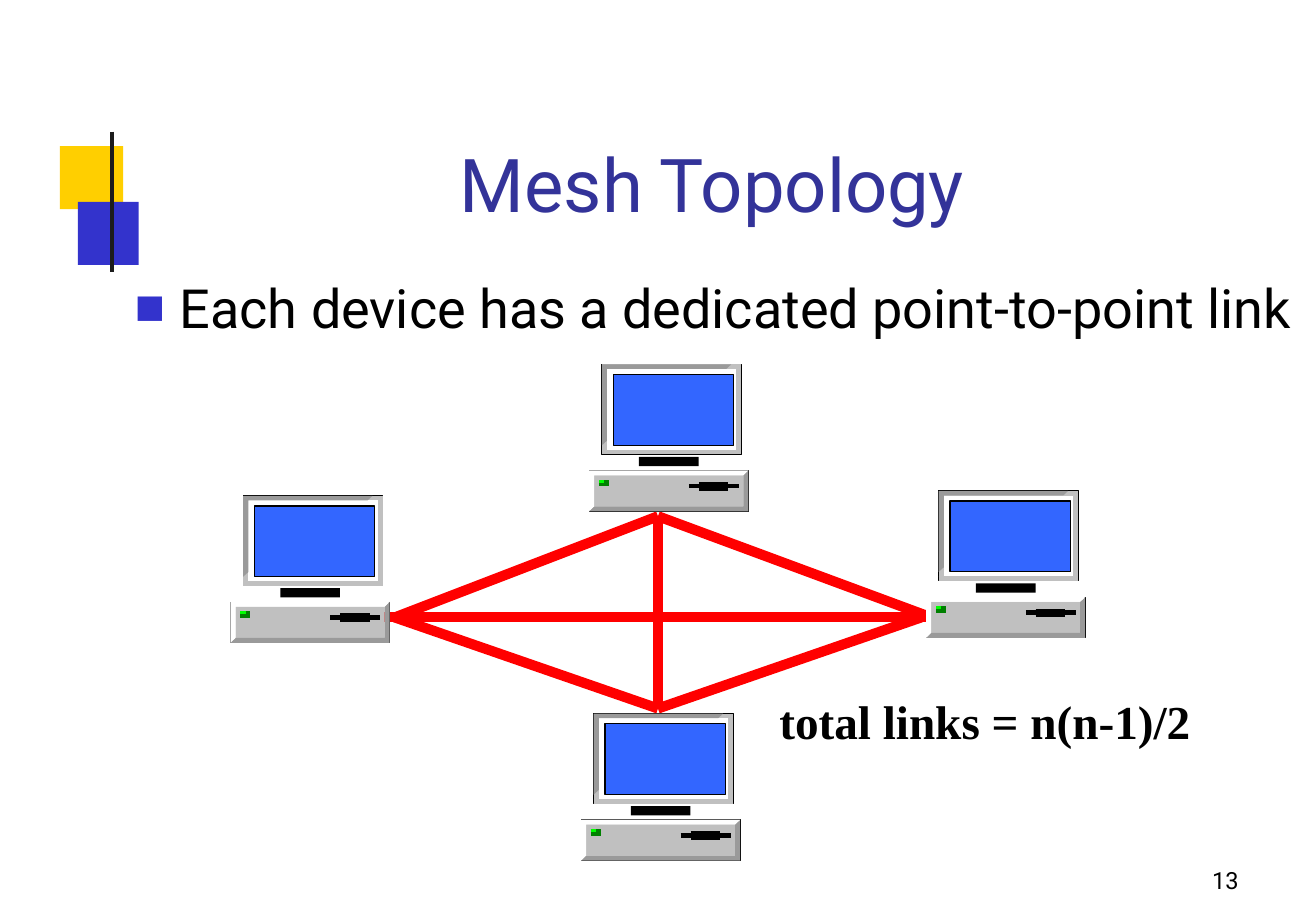
from dataclasses import dataclass
from lxml import etree
from pptx import Presentation
from pptx.dml.color import RGBColor
from pptx.enum.shapes import MSO_CONNECTOR, MSO_SHAPE
from pptx.enum.text import MSO_ANCHOR, MSO_AUTO_SIZE, PP_ALIGN
from pptx.oxml.ns import qn
from pptx.util import Pt

STRAIGHT = MSO_CONNECTOR.STRAIGHT
RECT = MSO_SHAPE.RECTANGLE
TOP = MSO_ANCHOR.TOP
NO_FIT = MSO_AUTO_SIZE.NONE
LEFT, CENTER = PP_ALIGN.LEFT, PP_ALIGN.CENTER


@dataclass(frozen=True)
class Theme:
    sans: str = "Roboto"
    serif: str = "Times New Roman"
    title_size: int = 44
    body_size: int = 32
    formula_size: int = 28
    number_size: int = 14
    title: str = "333399"
    accent: str = "3333CC"
    yellow: str = "FFCF00"
    rule: str = "1C1C1C"
    link: str = "FF0000"
    black: str = "000000"
    white: str = "FFFFFF"
    silver: str = "C0C0C0"
    shade: str = "9A9A9A"
    screen: str = "3366FF"
    led: str = "008000"
    glow: str = "00FF00"


class SlideBuilder:
    def __init__(self, slide, theme):
        self.s = slide
        self.t = theme
        self.x = self.y = 0

    def paint(self, sp, fill=None, line=None, width=1):
        sp.shadow.inherit = False
        if fill:
            sp.fill.solid()
            sp.fill.fore_color.rgb = RGBColor.from_string(fill)
        else:
            sp.fill.background()
        if line:
            sp.line.color.rgb = RGBColor.from_string(line)
            sp.line.width = Pt(width)
        else:
            sp.line.fill.background()

    def box(self, x, y, w, h, **look):
        sp = self.s.shapes.add_shape(
            RECT, Pt(self.x + x), Pt(self.y + y), Pt(w), Pt(h))
        self.paint(sp, **look)

    def polygon(self, points, fill):
        pts = [(Pt(self.x + x), Pt(self.y + y)) for x, y in points]
        fb = self.s.shapes.build_freeform(*pts[0])
        fb.add_line_segments(pts[1:], close=True)
        self.paint(fb.convert_to_shape(), fill=fill)

    def line(self, x1, y1, x2, y2, color, width):
        c = self.s.shapes.add_connector(
            STRAIGHT, Pt(self.x + x1), Pt(self.y + y1),
            Pt(self.x + x2), Pt(self.y + y2))
        c.line.color.rgb = RGBColor.from_string(color)
        c.line.width = Pt(width)
        etree.SubElement(c._element.spPr, qn("a:effectLst"))

    def text(self, sp, place, words, color, align=LEFT, margin_top=0,
             spacing=1.0, indent=(0, 0), **font):
        frame = dict(zip(("left", "top", "width", "height"), map(Pt, place)))
        for name, value in frame.items():
            setattr(sp, name, value)
        tf = sp.text_frame
        layout = {"margin_left": 0, "margin_right": 0, "margin_bottom": 0,
                  "margin_top": Pt(margin_top), "word_wrap": True,
                  "auto_size": NO_FIT, "vertical_anchor": TOP}
        for name, value in layout.items():
            setattr(tf, name, value)
        p = tf.paragraphs[0]
        para = {"alignment": align, "line_spacing": spacing,
                "space_before": Pt(0)}
        for name, value in para.items():
            setattr(p, name, value)
        pPr = p._p.get_or_add_pPr()
        for name, value in zip(("marL", "indent"), indent):
            pPr.set(name, str(Pt(value)))
        r = p.add_run()
        r.text = words
        for name, value in font.items():
            setattr(r.font, name, value)
        r.font.color.rgb = RGBColor.from_string(color)
        return pPr

    def textbox(self, place, words, **look):
        sp = self.s.shapes.add_textbox(*map(Pt, place))
        self.text(sp, place, words, self.t.black, **look)

    def title(self, place, words):
        self.text(self.s.shapes.title, place, words, self.t.title,
                  align=CENTER, spacing=Pt(52.5), indent=(64, 0),
                  name=self.t.sans, size=Pt(self.t.title_size))

    def bullet(self, place, words):
        pPr = self.text(self.s.placeholders[1], place, words, self.t.black,
                        indent=(28, -26.6), name=self.t.sans,
                        size=Pt(self.t.body_size))
        color = etree.SubElement(pPr, qn("a:buClr"))
        etree.SubElement(color, qn("a:srgbClr"), val=self.t.accent)
        etree.SubElement(pPr, qn("a:buSzPct"), val="59000")
        etree.SubElement(pPr, qn("a:buFont"), typeface=self.t.sans)
        etree.SubElement(pPr, qn("a:buChar"), char="■")

    def computer(self, x, y):
        t = self.t
        self.x, self.y = x, y
        self.box(0, 63, 94.4, 24.2, line=t.black, width=0.6)
        self.box(3, 65.7, 88.4, 18.5, fill=t.silver)
        outer, inner = (94.4, 62.8), (91.4, 65.7)
        corner, inset = (0, 87.1), (3, 84.2)
        self.polygon([outer, inner, (91.4, 84.2), inset, corner,
                      (94.4, 87.1)], t.shade)
        self.polygon([outer, (0, 62.8), corner, inset, (3, 65.7), inner],
                     t.white)
        for x1, x2, row, width in ((65, 82.6, 74.1, 1.29),
                                   (59.1, 88.8, 72.2, 2.66),
                                   (65, 82.6, 70.4, 1.33)):
            self.line(x1, row, x2, row, t.black, width)
        self.box(29.5, 54.8, 35.4, 5.5, fill=t.black)
        self.line(5.9, 70.4, 11.7, 70.4, t.led, 3.96)
        self.line(5.9, 69.3, 9, 69.3, t.glow, 1.92)
        self.box(7.6, 0, 82.7, 53.4, line=t.black, width=0.6)
        for row in (52, 1.4):
            self.line(7.5, row, 90.2, row, t.silver, 2.7)
        for column in (9, 88.7):
            self.line(column, 2.7, column, 50.6, t.silver, 2.97)
        self.polygon([(84.2, 0), (7.5, 0), (7.5, 48), (10.6, 45.2),
                      (10.6, 2.7), (81.3, 2.7)], t.shade)
        self.box(14.2, 6, 71.3, 42, fill=t.screen, line=t.black, width=0.72)
        self.x = self.y = 0


def main():
    prs = Presentation()
    prs.slide_width, prs.slide_height = Pt(780), Pt(540)
    t = Theme()
    b = SlideBuilder(prs.slides.add_slide(prs.slide_layouts[1]), t)

    b.box(35.5, 86.6, 37.5, 37.4, fill=t.yellow)
    b.box(46.2, 119.7, 36, 37.4, fill=t.accent)
    b.line(66.4, 78, 66.4, 161, t.rule, 2.75)
    b.title((41, 82, 698.4, 52.6), "Mesh Topology")
    b.bullet((78.5, 162.7, 690, 38),
             "Each device has a dedicated point-to-point link")

    west, north, east, south = (234, 366), (390, 306), (552, 366), (390, 420)
    links = (((393, 366), east), ((227.5, 366), (387, 366)), (west, north),
             (north, east), (west, south), (south, (546, 366)),
             (south, north))
    for start, end in links:
        b.line(*start, *end, t.link, 6)

    b.textbox((461, 410.4, 246, 34.6), "total links = n(n-1)/2",
              indent=(1, 0), name=t.serif, size=Pt(t.formula_size), bold=True)
    for x, y in ((349.2, 216), (344.4, 423), (136.6, 293.9), (548.9, 291)):
        b.computer(x, y)
    b.textbox((716.4, 509, 26, 22.3), "13", margin_top=4.3, indent=(2, 0),
              name=t.sans, size=Pt(t.number_size))
    prs.save("out.pptx")


if __name__ == "__main__":
    main()
